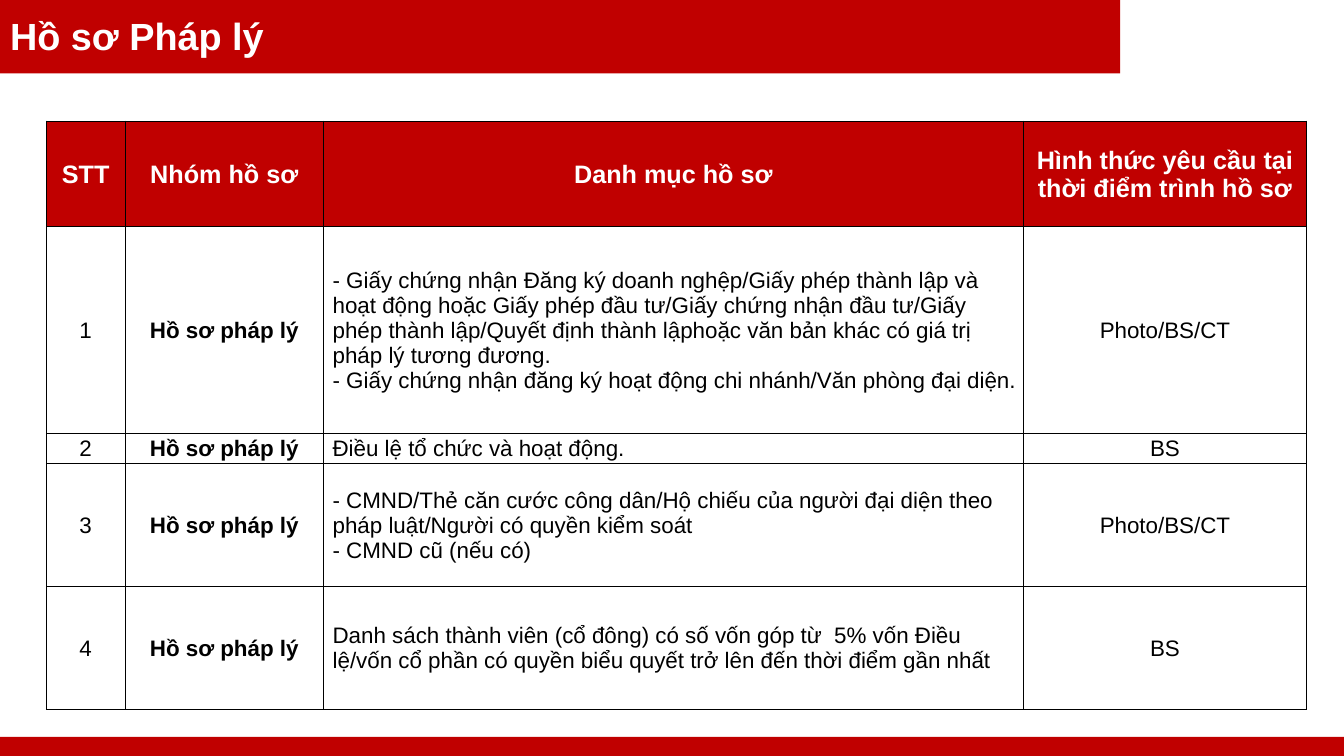
"""Build the legal dossier slide with its table of required documents."""
from dataclasses import dataclass

from lxml import etree
from pptx import Presentation
from pptx.dml.color import RGBColor
from pptx.enum import shapes, text
from pptx.oxml import ns
from pptx.util import Inches, Pt

TITLE = "Hồ sơ Pháp lý"
HEADINGS = ["STT", "Nhóm hồ sơ", "Danh mục hồ sơ", "Hình thức yêu cầu tại thời điểm trình hồ sơ"]
GROUP = "Hồ sơ pháp lý"
DOSSIERS = [
    (["- Giấy chứng nhận Đăng ký doanh nghệp/Giấy phép thành lập và hoạt động hoặc "
      "Giấy phép đầu tư/Giấy chứng nhận đầu tư/Giấy phép thành lập/Quyết định thành "
      "lậphoặc văn bản khác có giá trị pháp lý tương đương.",
      "- Giấy chứng nhận đăng ký hoạt động chi nhánh/Văn phòng đại diện."], "Photo/BS/CT"),
    (["Điều lệ tổ chức và hoạt động."], "BS"),
    (["- CMND/Thẻ căn cước công dân/Hộ chiếu của người đại diện theo pháp luật/"
      "Người có quyền kiểm soát",
      "- CMND cũ (nếu có)"], "Photo/BS/CT"),
    (["Danh sách thành viên (cổ đông) có số vốn góp từ  5% vốn Điều lệ/vốn cổ phần "
      "có quyền biểu quyết trở lên đến thời điểm gần nhất"], "BS"),
]
SLIDE_SIZE = (13.33, 7.5)
BANDS = [(0, 0, 11.11, 0.73), (0, 7.31, 13.33, 0.19)]
TITLE_BOX = (0, 0, 10.57, 0.76)
TABLE_ORIGIN = (0.46, 1.2)
COLUMN_WIDTHS = [0.78, 1.97, 6.94, 2.81]
ROW_HEIGHTS = [1.05, 2.05, 0.3, 1.22, 1.22]
DOCUMENTS_COLUMN = 2


@dataclass(frozen=True)
class Theme:
    font: str = "Arial"
    red: str = "C00000"
    white: str = "FFFFFF"
    black: str = "000000"
    title_size: float = 27
    heading_size: float = 18
    body_size: float = 16
    border: float = 0.5


THEME = Theme()


def write(frame, lines, *, size, color=THEME.black, bold=False,
          align=text.PP_ALIGN.CENTER, indent=0, spacing=None):
    frame.word_wrap = True
    frame.vertical_anchor = text.MSO_ANCHOR.MIDDLE
    for index, line in enumerate(lines):
        paragraph = frame.add_paragraph() if index else frame.paragraphs[0]
        paragraph.alignment = align
        paragraph.line_spacing = spacing
        if indent:
            properties = paragraph._p.get_or_add_pPr()
            properties.set("marL", str(Inches(indent)))
            properties.set("indent", "0")
        run = paragraph.add_run()
        run.text = line
        run.font.name = THEME.font
        run.font.size = Pt(size)
        run.font.bold = bold
        run.font.color.rgb = RGBColor.from_string(color)


def style_cell(cell, fill):
    cell.fill.solid()
    cell.fill.fore_color.rgb = RGBColor.from_string(fill)
    cell.margin_left = cell.margin_right = cell.margin_top = Inches(0.01)
    cell.margin_bottom = 0
    cell.vertical_anchor = text.MSO_ANCHOR.MIDDLE
    properties = cell._tc.get_or_add_tcPr()
    for position, side in enumerate(("lnL", "lnR", "lnT", "lnB")):
        border = etree.Element(ns.qn(f"a:{side}"), w=str(Pt(THEME.border)))
        paint = etree.SubElement(border, ns.qn("a:solidFill"))
        etree.SubElement(paint, ns.qn("a:srgbClr"), val=THEME.black)
        properties.insert(position, border)


def add_bands(slide):
    for box in BANDS:
        band = slide.shapes.add_shape(shapes.MSO_SHAPE.RECTANGLE, *map(Inches, box))
        band.shadow.inherit = False
        band.fill.solid()
        band.fill.fore_color.rgb = RGBColor.from_string(THEME.red)
        band.line.fill.background()


def add_title(slide):
    title = slide.shapes.title
    title.left, title.top, title.width, title.height = map(Inches, TITLE_BOX)
    slide.shapes._spTree.append(title._element)
    write(title.text_frame, [TITLE], size=THEME.title_size, color=THEME.white,
          bold=True, align=text.PP_ALIGN.LEFT, spacing=0.9)


def add_dossier_table(slide):
    extent = (sum(COLUMN_WIDTHS), sum(ROW_HEIGHTS))
    dossier = slide.shapes.add_table(len(ROW_HEIGHTS), len(COLUMN_WIDTHS),
                                     *map(Inches, TABLE_ORIGIN + extent)).table
    dossier.horz_banding = False
    for column, width in zip(dossier.columns, COLUMN_WIDTHS):
        column.width = Inches(width)
    for row, height in zip(dossier.rows, ROW_HEIGHTS):
        row.height = Inches(height)

    for column, heading in enumerate(HEADINGS):
        cell = dossier.cell(0, column)
        write(cell.text_frame, [heading], size=THEME.heading_size,
              color=THEME.white, bold=True)
        style_cell(cell, THEME.red)

    for number, (documents, form) in enumerate(DOSSIERS, start=1):
        for column, lines in enumerate(([str(number)], [GROUP], documents, [form])):
            cell = dossier.cell(number, column)
            listing = column == DOCUMENTS_COLUMN
            write(cell.text_frame, lines, size=THEME.body_size, bold=lines == [GROUP],
                  align=text.PP_ALIGN.LEFT if listing else text.PP_ALIGN.CENTER,
                  indent=0.08 if listing else 0)
            style_cell(cell, THEME.white)


def main():
    deck = Presentation()
    deck.slide_width, deck.slide_height = map(Inches, SLIDE_SIZE)
    slide = deck.slides.add_slide(deck.slide_layouts.get_by_name("Title Only"))
    add_bands(slide)
    add_title(slide)
    add_dossier_table(slide)
    deck.save("out.pptx")


if __name__ == "__main__":
    main()
